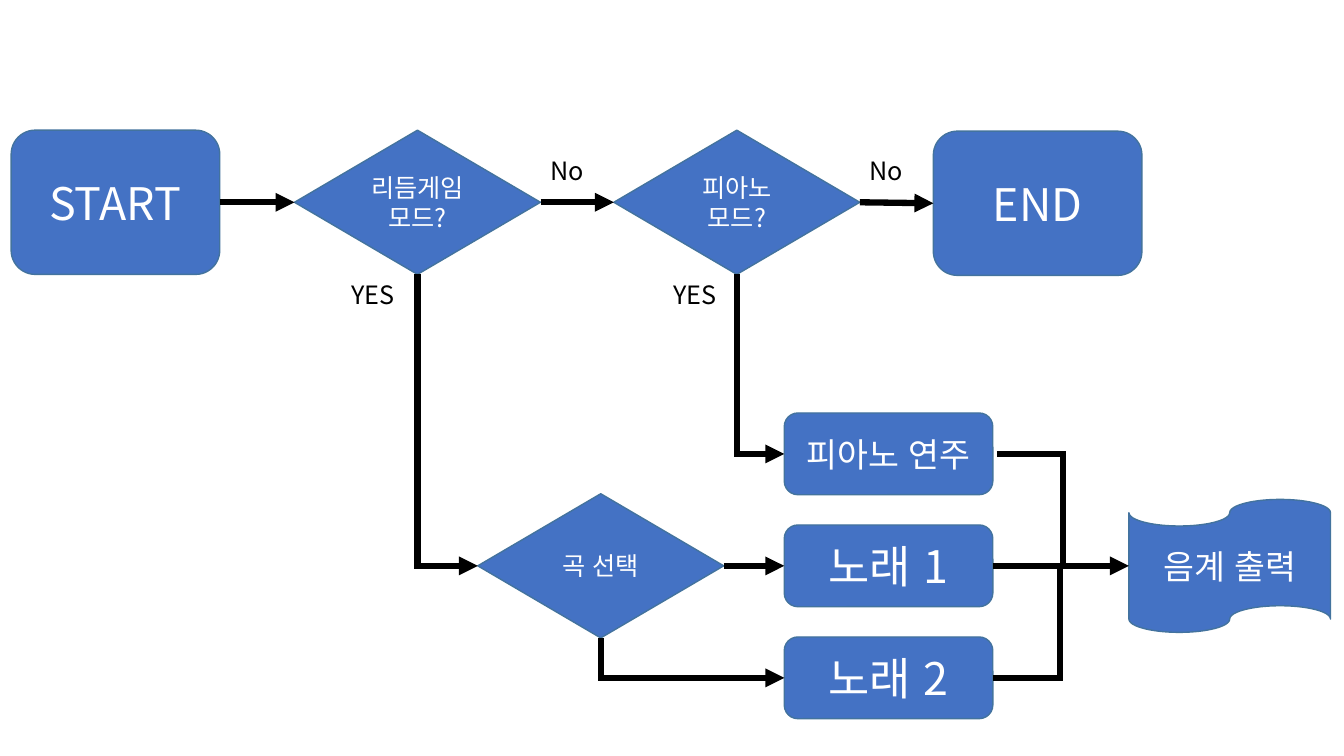
from lxml import etree
from pptx import Presentation
from pptx.dml.color import RGBColor
from pptx.enum.lang import MSO_LANGUAGE_ID
from pptx.enum.shapes import MSO_CONNECTOR, MSO_SHAPE
from pptx.enum.text import MSO_ANCHOR, PP_ALIGN
from pptx.oxml.ns import qn
from pptx.util import Pt

BOX = MSO_SHAPE.ROUNDED_RECTANGLE
DECISION = MSO_SHAPE.FLOWCHART_DECISION
TAPE = MSO_SHAPE.FLOWCHART_PUNCHED_TAPE
STRAIGHT = MSO_CONNECTOR.STRAIGHT
ELBOW = MSO_CONNECTOR.ELBOW
MIDDLE = MSO_ANCHOR.MIDDLE
CENTER = PP_ALIGN.CENTER
LEFT = PP_ALIGN.LEFT
KOREAN = MSO_LANGUAGE_ID.KOREAN

BLUE = RGBColor(0x44, 0x72, 0xC4)
EDGE = RGBColor(0x43, 0x73, 0x9E)
WHITE = RGBColor(0xFF, 0xFF, 0xFF)
BLACK = RGBColor(0x00, 0x00, 0x00)
FONT = "Noto Sans CJK KR"

TOP = 93
DECISION_W, ROW_H = 175.7, 103
BOX_W, SONG_H = 149, 58.4
MODE_X, MODE_STEP = 210.4, 228.1
SONG_X, SONG_Y, SONG_STEP = 560.2, 295, 80
JOIN_X = 757.4


def write(tf, text, size=18, color=WHITE, align=CENTER):
    """Put one formatted run into a text frame."""
    tf.word_wrap = True
    p = tf.paragraphs[0]
    p.alignment = align
    r = p.add_run()
    r.text = text
    r.font.size = Pt(size)
    r.font.name = FONT
    r.font.color.rgb = color
    r.font.language_id = KOREAN
    etree.SubElement(r.font._element, qn("a:ea"), typeface=FONT)


def add_node(slide, kind, x, y, w, h, text, size=18):
    """Add a blue flowchart symbol with centred text."""
    sp = slide.shapes.add_shape(kind, Pt(x), Pt(y), Pt(w), Pt(h))
    sp.shadow.inherit = False
    sp.fill.solid()
    sp.fill.fore_color.rgb = BLUE
    sp.line.color.rgb = EDGE
    sp.line.width = Pt(1)
    sp.text_frame.vertical_anchor = MIDDLE
    write(sp.text_frame, text, size=size)
    return sp


def add_label(slide, x, y, w, text):
    """Add a black branch label."""
    sp = slide.shapes.add_textbox(Pt(x), Pt(y), Pt(w), Pt(29))
    write(sp.text_frame, text, color=BLACK, align=LEFT)


def side(sp, name):
    """Return the middle of a symbol's left, right or bottom side, in points."""
    fx, fy = {"left": (0, 0.5), "right": (1, 0.5), "bottom": (0.5, 1)}[name]
    return (sp.left + sp.width * fx) / Pt(1), (sp.top + sp.height * fy) / Pt(1)


def add_line(slide, start, end, kind=STRAIGHT, arrow=True):
    """Add a thick black connector between two points."""
    c = slide.shapes.add_connector(kind, *(Pt(v) for v in (*start, *end)))
    c.line.color.rgb = BLACK
    c.line.width = Pt(4.5)
    ln = c.line._get_or_add_ln()
    etree.SubElement(ln, qn("a:miter"), lim="800000")
    if arrow:
        etree.SubElement(ln, qn("a:tailEnd"), type="triangle")
    etree.SubElement(c._element.spPr, qn("a:effectLst"))
    return c


def add_corner(slide, start, end, arrow=True):
    """Add a one-bend connector that runs across first, then up or down."""
    c = add_line(slide, start, end, kind=ELBOW, arrow=arrow)
    c._element.spPr.find(qn("a:prstGeom")).set("prst", "bentConnector2")
    return c


def add_drop(slide, start, end):
    """Add a one-bend arrow that runs down first, as a turned and flipped corner."""
    (x1, y1), (x2, y2) = start, end
    cx, cy = (x1 + x2) / 2, (y1 + y2) / 2
    dx, dy = (x2 - x1) / 2, (y2 - y1) / 2
    c = add_corner(slide, (cx + dy, cy - dx), (cx - dy, cy + dx))
    c._element.spPr.find(qn("a:xfrm")).set("rot", str(270 * 60000))


def main():
    """Build the flowchart slide."""
    prs = Presentation()
    prs.slide_width, prs.slide_height = Pt(960), Pt(540)
    slide = prs.slides.add_slide(prs.slide_layouts[6])

    start = add_node(slide, BOX, 8, TOP, BOX_W, ROW_H, "START", size=32)
    rhythm, piano = [
        add_node(slide, DECISION, MODE_X + i * MODE_STEP, TOP, DECISION_W, ROW_H, text)
        for i, text in enumerate(("리듬게임모드?", "피아노 모드?"))]
    end = add_node(slide, BOX, 666.7, TOP + 0.7, BOX_W, ROW_H, "END", size=32)
    choice = add_node(slide, DECISION, 341.3, 352.7, DECISION_W, ROW_H, "곡 선택")
    play, song1, song2 = [
        add_node(slide, BOX, SONG_X, SONG_Y + i * SONG_STEP, BOX_W, SONG_H, text, size=size)
        for i, (text, size) in enumerate((("피아노 연주", 24), ("노래 1", 32), ("노래 2", 32)))]
    output = add_node(slide, TAPE, 806.4, 356.7, 144, 95, "음계 출력", size=24)

    for a, b in ((start, rhythm), (rhythm, piano), (piano, end), (choice, song1)):
        add_line(slide, side(a, "right"), side(b, "left"))
    for a, b in ((rhythm, choice), (piano, play), (choice, song2)):
        add_drop(slide, side(a, "bottom"), side(b, "left"))

    play_x, play_y = side(play, "right")
    add_line(slide, (play_x + 2.8, play_y), side(output, "left"), kind=ELBOW)
    join = (JOIN_X, side(song1, "right")[1])
    add_corner(slide, side(song2, "right"), join, arrow=False)
    add_line(slide, side(song1, "right"), join, arrow=False)

    for sp, yes_x in ((rhythm, 244), (piano, 473.8)):
        add_label(slide, side(sp, "right")[0], 107.3, 43.2, "No")
        add_label(slide, yes_x, 195.8, 49.7, "YES")

    prs.save("out.pptx")


main()
